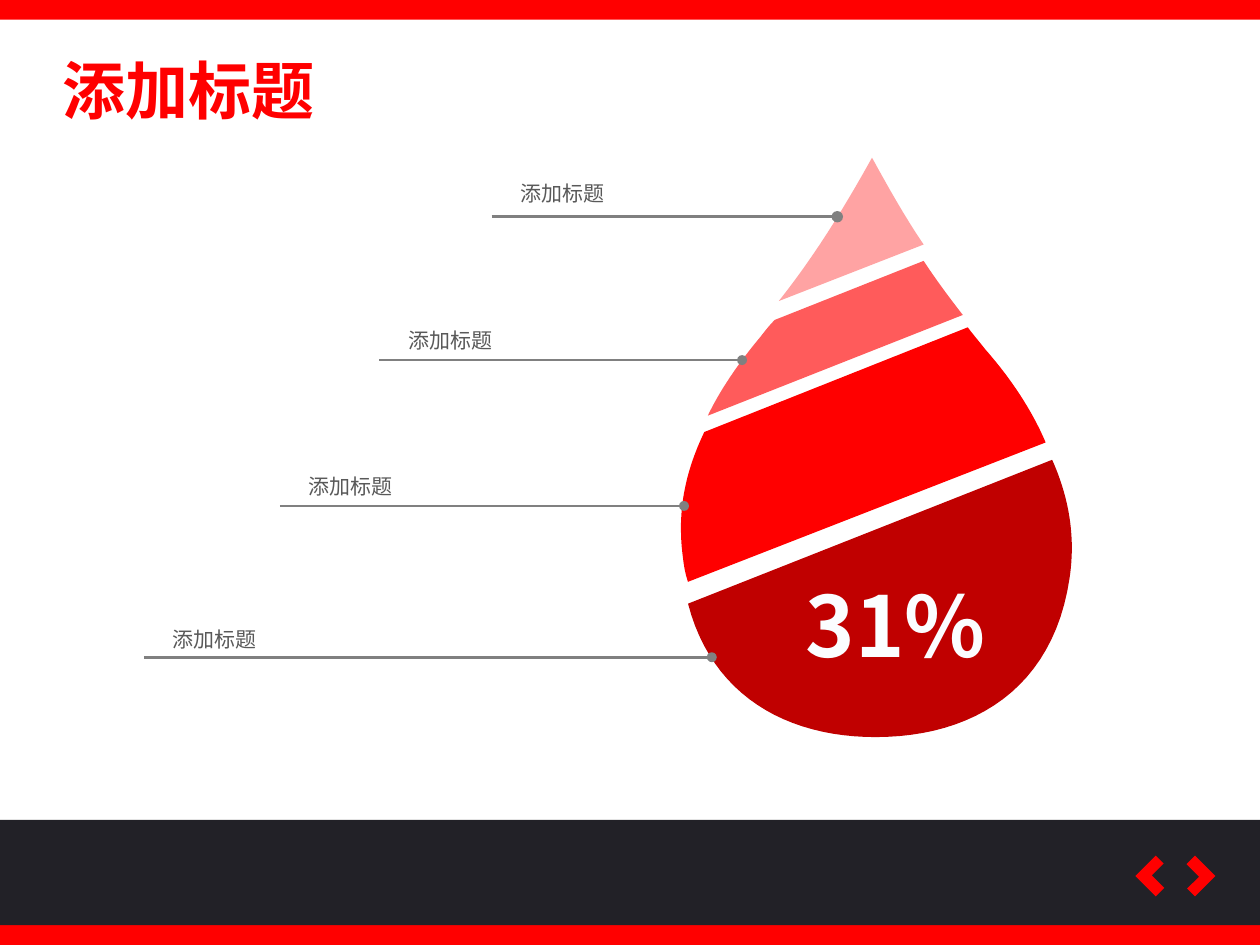
from lxml import etree
from pptx import Presentation
from pptx import util as u
from pptx.dml.color import RGBColor
from pptx.enum import shapes, text
from pptx.oxml import ns

RED = RGBColor(0xFF, 0x00, 0x00)
DARK_RED = RGBColor(0xC0, 0x00, 0x00)
CORAL = RGBColor(0xFF, 0x5B, 0x5B)
PINK = RGBColor(0xFF, 0xA3, 0xA3)
CHARCOAL = RGBColor(0x22, 0x21, 0x27)
GRAY = RGBColor(0x80, 0x80, 0x80)
TEXT_GRAY = RGBColor(0x59, 0x59, 0x59)
OFF_WHITE = RGBColor(0xFB, 0xFD, 0xFF)

PAGE_WIDTH, PAGE_HEIGHT = 25.4, 19.05
CURVE_STEPS = 24

# Drop bands in cm: colour, start, then lines (2 numbers) and curves (6 numbers)
DROP_BANDS = [
    (DARK_RED, (17.65, 14.86), [
        (19.61, 14.86, 21.23, 13.89, 21.56, 11.66),
        (21.69, 10.8, 21.54, 10.01, 21.21, 9.27),
        (13.87, 12.17),
        (14.35, 14.02, 15.85, 14.86, 17.65, 14.86)]),
    (PINK, (17.58, 3.18), [
        (17.02, 4.19, 16.41, 5.18, 15.7, 6.07),
        (18.62, 4.93),
        (18.24, 4.37, 17.91, 3.78, 17.58, 3.18)]),
    (RED, (19.51, 6.6), [
        (14.2, 8.71),
        (13.82, 9.5, 13.64, 10.31, 13.77, 11.25),
        (13.79, 11.43, 13.82, 11.58, 13.87, 11.73),
        (21.08, 8.92),
        (20.8, 8.26, 20.37, 7.62, 19.86, 7.04),
        (19.76, 6.91, 19.63, 6.76, 19.51, 6.6)]),
    (CORAL, (18.62, 5.26), [
        (15.62, 6.45),
        (15.52, 6.55, 15.44, 6.65, 15.34, 6.78),
        (14.94, 7.26, 14.55, 7.8, 14.27, 8.38),
        (19.41, 6.35),
        (19.13, 5.99, 18.87, 5.64, 18.62, 5.26)]),
]

# Callouts in cm: line start, line end, line height, label top, dot size
CALLOUTS = [
    (9.91, 16.88, 4.37, 3.51, 0.23),
    (7.65, 14.96, 7.26, 6.48, 0.2),
    (5.64, 13.79, 10.2, 9.42, 0.2),
    (2.9, 14.35, 13.25, 12.5, 0.2),
]


def curve_points(start, curve):
    """Points along a cubic curve, without its start."""
    corners = [start, curve[0:2], curve[2:4], curve[4:6]]
    points = []
    for step in range(1, CURVE_STEPS + 1):
        t = step / CURVE_STEPS
        weights = ((1 - t) ** 3, 3 * t * (1 - t) ** 2,
                   3 * t ** 2 * (1 - t), t ** 3)
        points.append(tuple(
            sum(w * corner[axis] for w, corner in zip(weights, corners))
            for axis in (0, 1)))
    return points


class SlideBuilder:
    font = "Noto Sans CJK SC"

    def __init__(self, page):
        self.page = page

    def paint(self, shape, color):
        shape.shadow.inherit = False
        shape.fill.solid()
        shape.fill.fore_color.rgb = color
        shape.line.fill.background()
        return shape

    def shape(self, kind, left, top, width, height, color):
        shape = self.page.shapes.add_shape(
            kind, u.Cm(left), u.Cm(top), u.Cm(width), u.Cm(height))
        return self.paint(shape, color)

    def bar(self, top, height, color):
        self.shape(shapes.MSO_SHAPE.RECTANGLE, 0, top, PAGE_WIDTH, height, color)

    def chevron(self, left, rotation):
        chevron = self.shape(
            shapes.MSO_SHAPE.RECTANGLE, left, 17.37, 0.58, 0.58, RED)
        chevron.rotation = rotation
        # The "corner" preset has no member in MSO_SHAPE
        geometry = chevron._element.spPr.find(ns.qn("a:prstGeom"))
        geometry.set("prst", "corner")
        guides = geometry.find(ns.qn("a:avLst"))
        for name, value in (("adj1", 41500), ("adj2", 38600)):
            etree.SubElement(guides, ns.qn("a:gd"), name=name,
                             fmla=f"val {value}")

    def band(self, color, start, segments):
        points = [start]
        for segment in segments:
            if len(segment) == 2:
                points.append(segment)
            else:
                points += curve_points(points[-1], segment)
        corners = [(u.Cm(x), u.Cm(y)) for x, y in points]
        outline = self.page.shapes.build_freeform(*corners[0])
        outline.add_line_segments(corners[1:], close=True)
        self.paint(outline.convert_to_shape(), color)

    def line(self, start, end, y):
        line = self.page.shapes.add_connector(
            shapes.MSO_CONNECTOR.STRAIGHT,
            u.Cm(start), u.Cm(y), u.Cm(end), u.Cm(y))
        line.line.color.rgb = GRAY
        line.line.width = u.Pt(1.5)
        etree.SubElement(line._element.spPr, ns.qn("a:effectLst"))

    def dot(self, x, y, size):
        self.shape(shapes.MSO_SHAPE.OVAL,
                   x - size / 2, y - size / 2, size, size, GRAY)

    def text(self, words, left, top, width, height, size, color,
             bold=False, align=text.PP_ALIGN.CENTER, wrap=True,
             anchor=text.MSO_ANCHOR.TOP):
        box = self.page.shapes.add_textbox(
            u.Cm(left), u.Cm(top), u.Cm(width), u.Cm(height))
        frame = box.text_frame
        frame.text = words
        frame.word_wrap = wrap
        frame.vertical_anchor = anchor
        para = frame.paragraphs[0]
        para.alignment = align
        span = para.runs[0]
        span.font.name = self.font
        span.font.size = u.Pt(size)
        span.font.bold = bold
        span.font.color.rgb = color
        props = span._r.get_or_add_rPr()
        etree.SubElement(props, ns.qn("a:ea"), typeface=self.font)


def main():
    deck = Presentation()
    deck.slide_width = u.Cm(PAGE_WIDTH)
    deck.slide_height = u.Cm(PAGE_HEIGHT)
    builder = SlideBuilder(deck.slides.add_slide(deck.slide_layouts[6]))

    # Frame bars and navigation chevrons
    builder.bar(18.65, 0.4, RED)
    builder.bar(16.53, 2.12, CHARCOAL)
    builder.chevron(23.01, 45)
    builder.chevron(23.8, 225)
    builder.bar(0, 0.4, RED)

    # Title
    builder.text("添加标题", 1.02, 0.91, 5.64, 1.8, 36, RED, bold=True,
                 align=text.PP_ALIGN.LEFT, wrap=False)

    # Drop with its percentage
    for color, start, segments in DROP_BANDS:
        builder.band(color, start, segments)
    builder.text("31%", 15.56, 11.3, 5, 2.54, 48, OFF_WHITE, bold=True,
                 wrap=False, anchor=text.MSO_ANCHOR.MIDDLE)

    # Callouts
    for start, end, y, label_top, dot_size in CALLOUTS:
        builder.dot(end, y, dot_size)
        builder.line(start, end, y)
        builder.text("添加标题", start + 0.04, label_top, 2.77, 0.76,
                     12, TEXT_GRAY)

    deck.save("out.pptx")


if __name__ == "__main__":
    main()
